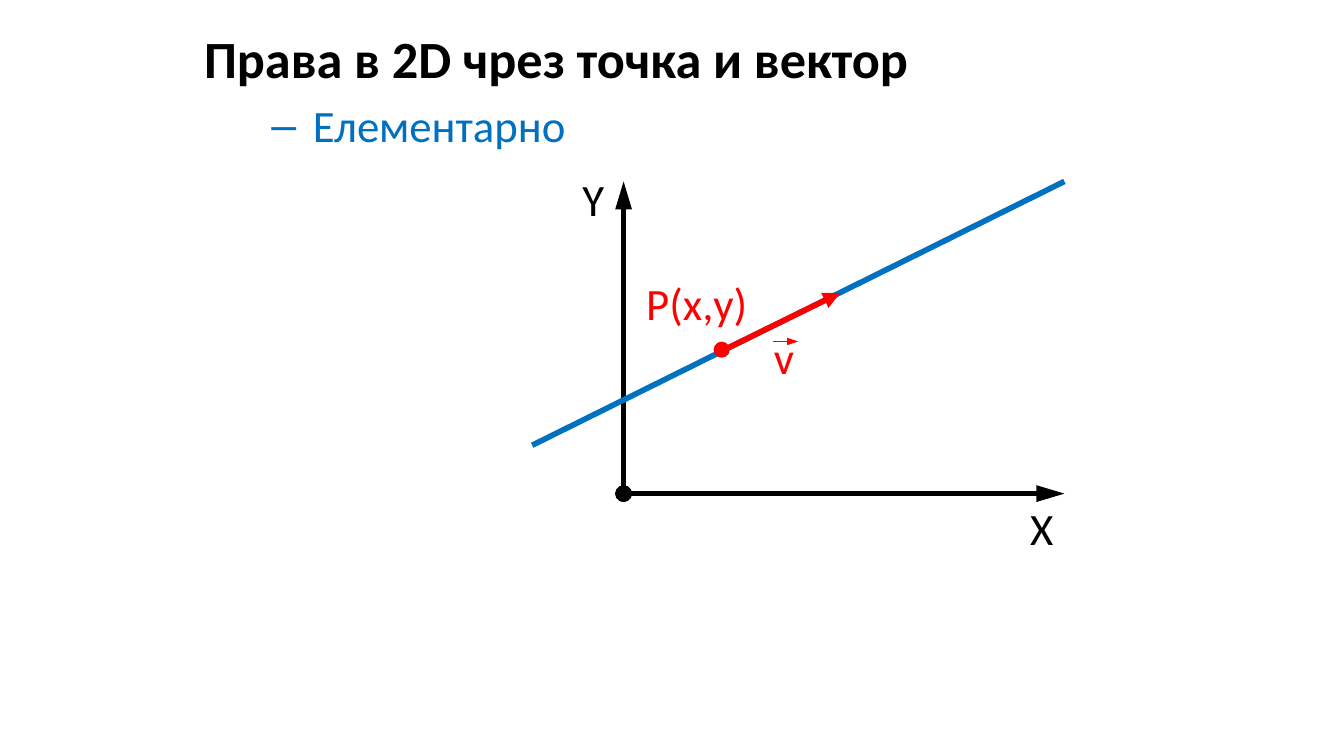
import pptx
import pptx.util
import pptx.dml.color
import pptx.enum.shapes
import pptx.enum.text
import pptx.oxml
import pptx.oxml.ns

COLORS = {"ink": "000000", "line": "0070C0", "vector": "FF0000"}
FONT = "Calibri"
Inches, Pt = pptx.util.Inches, pptx.util.Pt
SLIDE_WIDTH, SLIDE_HEIGHT = Pt(720), Pt(405)
GRID = 40  # columns and rows of the diagram box


def rgb(name):
    return pptx.dml.color.RGBColor.from_string(COLORS[name])


def add_element(parent, tag, **attributes):
    element = pptx.oxml.parse_xml(f"<a:{tag} {pptx.oxml.ns.nsdecls('a')}/>")
    for key, value in attributes.items():
        element.set(key, value)
    parent.append(element)


def style(para, size, color, bold=False):
    para.font.name, para.font.size, para.font.bold = FONT, Pt(size), bold
    para.font.color.rgb = rgb(color)


def draw_line(page, start, end, color, width=3, head=None, tail=None):
    """Draw a line; head and tail are attributes of its two ends."""
    line = page.shapes.add_connector(
        pptx.enum.shapes.MSO_CONNECTOR.STRAIGHT, *start, *end)
    line.line.width = Pt(width)
    line.line.color.rgb = rgb(color)
    outline = line.line._get_or_add_ln()
    if head:
        add_element(outline, "headEnd", **head)
    if tail:
        add_element(outline, "tailEnd", **tail)
    add_element(line._element.spPr, "effectLst")


def draw_heading(page, left, top, width, height):
    box = page.shapes.add_textbox(left, top, width, height)
    frame = box.text_frame
    frame.word_wrap = True
    title = frame.paragraphs[0]
    title.text = "Права в 2D чрез точка и вектор"
    style(title, 28, "ink", bold=True)

    # Dashed subpoint with a hanging indent
    point = frame.add_paragraph()
    point.text = "Елементарно"
    point.level = 1
    point.space_before = Pt(4.8)
    properties = point._p.get_or_add_pPr()
    properties.set("marL", str(Inches(0.81)))
    properties.set("indent", str(-Inches(0.31)))
    add_element(properties, "buFont", typeface="Arial")
    add_element(properties, "buChar", char="–")
    style(point, 24, "line")


def draw_diagram(page, left, top, width, height):
    def place(column, row):
        return (int(left + width * column / GRID),
                int(top + height * row / GRID))

    def draw_label(text, column, row, columns, color, centered=True):
        box = page.shapes.add_textbox(
            *place(column, row), int(width * columns / GRID),
            int(height * 8.5 / GRID))
        box.text_frame.word_wrap = False
        para = box.text_frame.paragraphs[0]
        para.text = text
        align = pptx.enum.text.PP_ALIGN
        para.alignment = align.CENTER if centered else align.LEFT
        style(para, 24, color)

    # Axes, both starting at the origin
    axis = 6.87
    origin = place(axis, GRID)
    for tip in (place(axis, 0), place(GRID, GRID)):
        draw_line(page, origin, tip, "ink", head={"type": "oval"},
                  tail={"type": "triangle", "len": "lg"})

    # Line with its direction vector and point
    draw_line(page, place(0, 33.8), place(GRID, 0), "line")
    draw_line(page, place(14.44, 21.55), place(23.13, 14.3), "vector",
              tail={"type": "triangle"})
    size = Inches(0.12)
    x, y = place(14.24, 21.55)
    dot = page.shapes.add_shape(pptx.enum.shapes.MSO_SHAPE.OVAL,
                                x - size // 2, y - size // 2, size, size)
    dot.shadow.inherit = False
    dot.fill.solid()
    dot.fill.fore_color.rgb = rgb("vector")
    dot.line.fill.background()

    # Labels, with an arrow over the vector's name
    draw_label("Y", 1.2, -2.05, 6.8, "ink")
    draw_label("X", 34.9, 40, 6.8, "ink")
    draw_label("P(x,y)", 7.58, 11.2, 14, "vector", centered=False)
    draw_label("v", 17.17, 18.1, 3.5, "vector")
    draw_line(page, place(18.1, 20.5), place(20, 20.5), "vector",
              width=0.75, tail={"type": "triangle", "w": "sm"})


def main():
    deck = pptx.Presentation()
    deck.slide_width, deck.slide_height = SLIDE_WIDTH, SLIDE_HEIGHT
    page = deck.slides.add_slide(deck.slide_layouts[6])

    def share(x, y, width, height):
        return (int(SLIDE_WIDTH * x / 100), int(SLIDE_HEIGHT * y / 100),
                int(SLIDE_WIDTH * width / 100),
                int(SLIDE_HEIGHT * height / 100))

    draw_heading(page, *share(14.2, 2.6, 85.8, 91.9))
    draw_diagram(page, *share(39.6, 24, 39.6, 41.3))
    deck.save("out.pptx")


if __name__ == "__main__":
    main()
